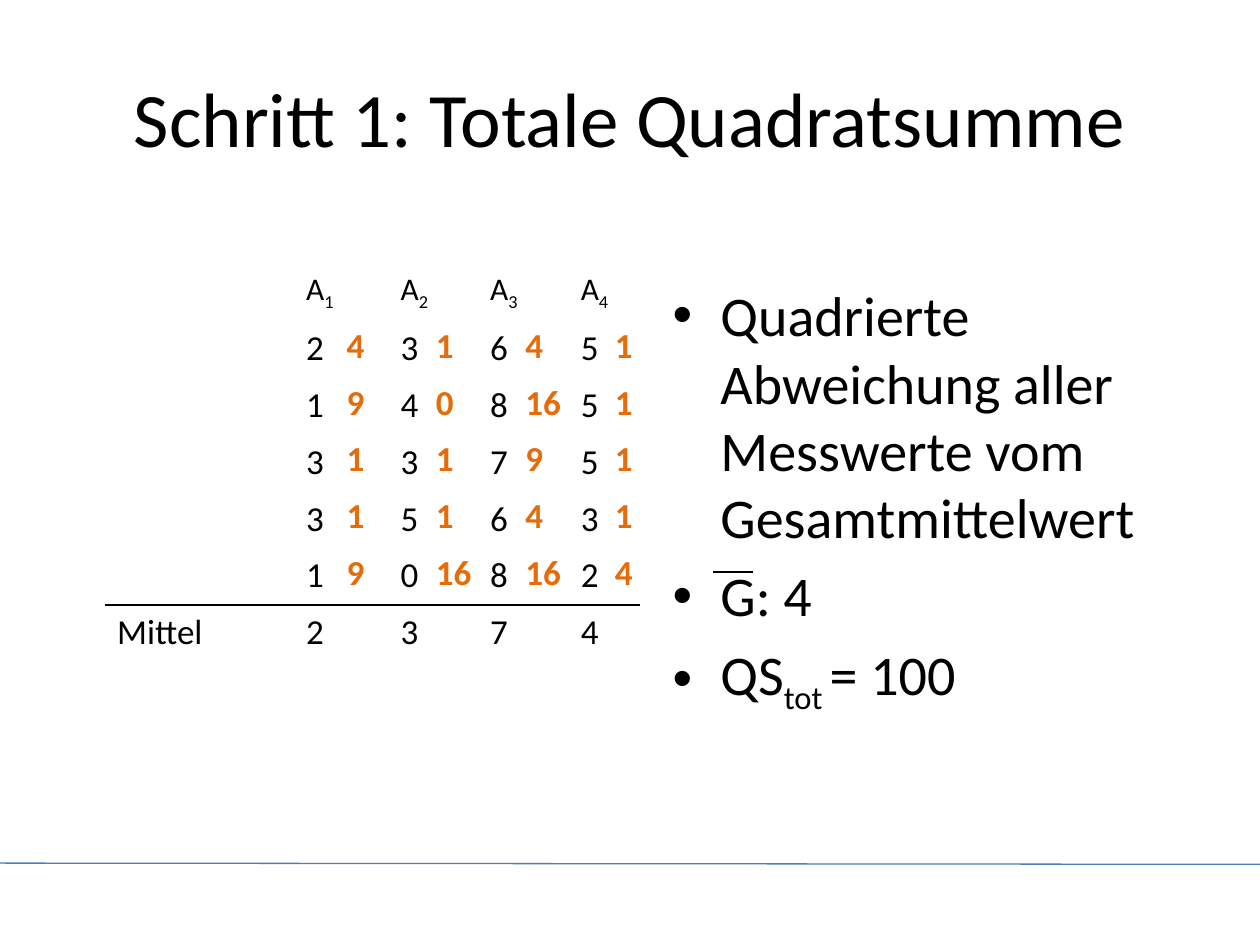
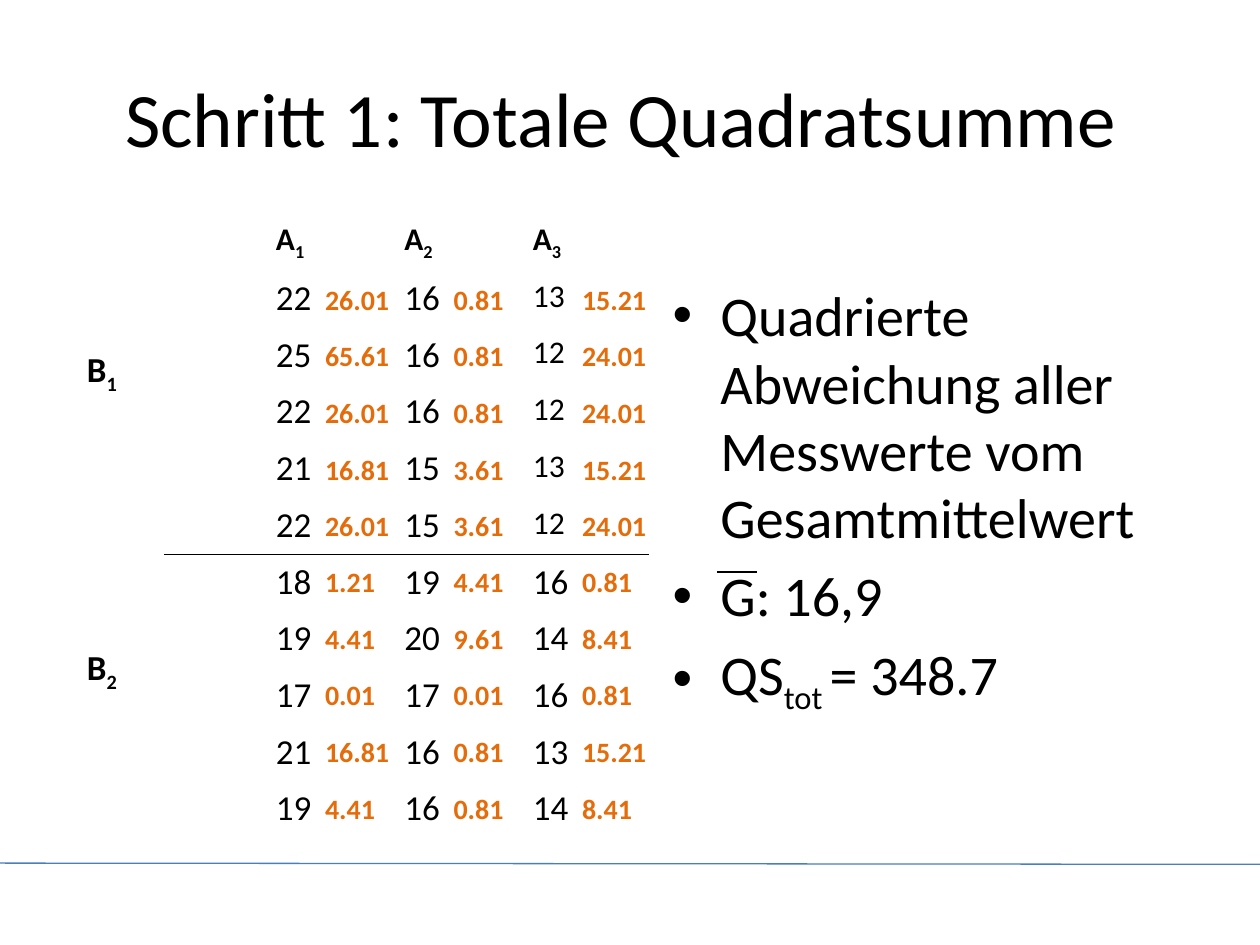
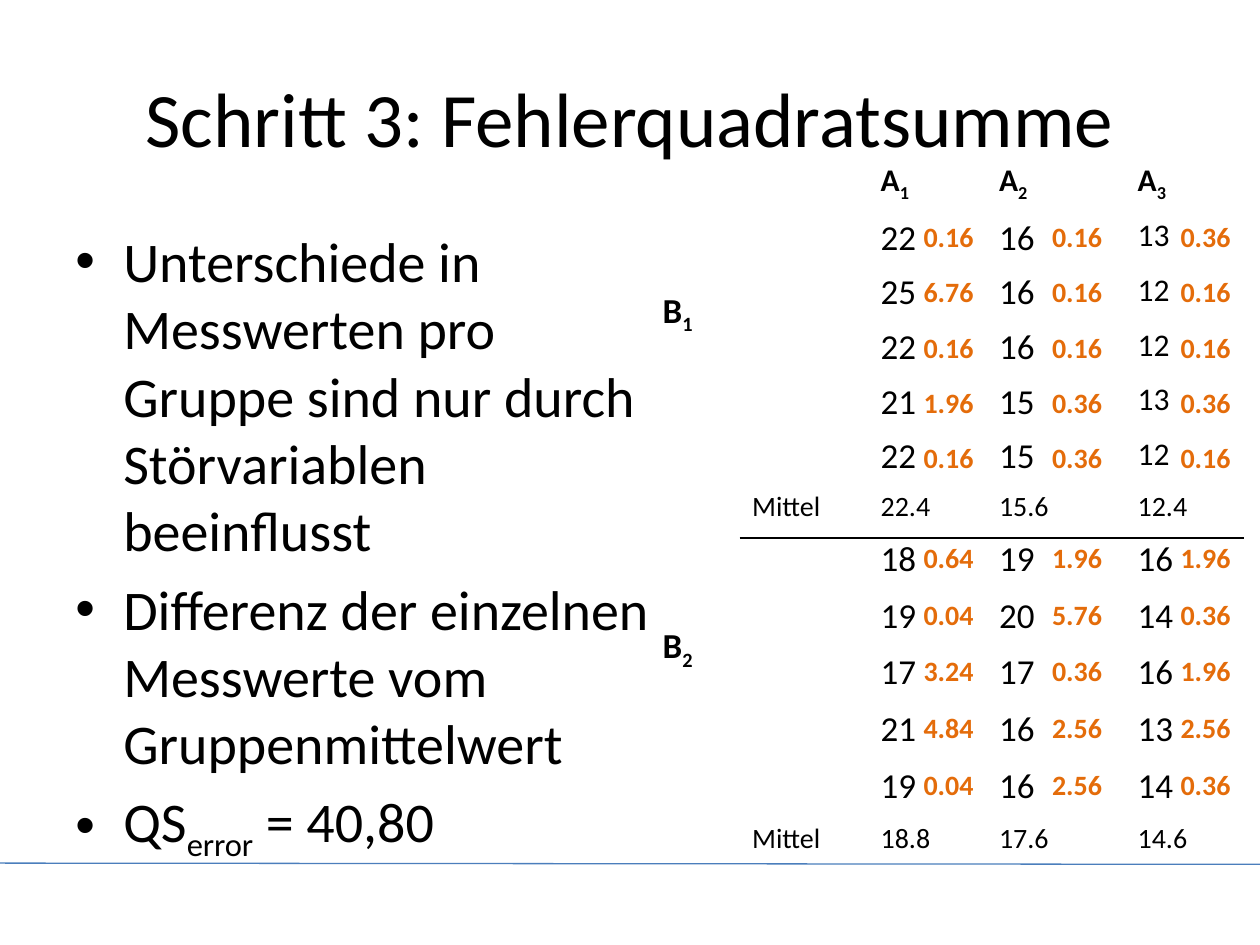
from lxml import etree
from pptx import Presentation
from pptx.dml.color import RGBColor
from pptx.enum.shapes import MSO_CONNECTOR
from pptx.enum.text import MSO_ANCHOR, PP_ALIGN
from pptx.oxml.ns import qn
from pptx.util import Inches, Pt

FONT = "Calibri"
BLACK = "000000"
ORANGE = "E46C0A"
FOOTER_BLUE = "4B7EBC"
PLAIN_TABLE_STYLE = "{2D5ABB26-0587-4C30-8999-92F81FD0307C}"

HEADINGS = "A|1 A|2 A|3"
UPPER_VALUES = ["22 16 13", "25 16 12", "22 16 12", "21 15 13", "22 15 12"]
LOWER_VALUES = ["18 19 16", "19 20 14", "17 17 16", "21 16 13", "19 16 14"]


def rgb(hex_string):
    return RGBColor.from_string(hex_string)


class Deck:
    def __init__(self):
        self.presentation = Presentation()
        self.presentation.slide_width = Inches(10)
        self.presentation.slide_height = Inches(7.5)
        self.slide = None

    def new_slide(self, title):
        self.slide = self.presentation.slides.add_slide(self.presentation.slide_layouts[6])
        self.line(0, 6.85, 10, 6.86, FOOTER_BLUE, 0.75)
        text_frame = self.text_box(0.5, 0.3, 9, 1.25)
        text_frame.vertical_anchor = MSO_ANCHOR.MIDDLE
        paragraph = text_frame.paragraphs[0]
        paragraph.alignment = PP_ALIGN.CENTER
        self.add_text(paragraph, title, 44)

    def line(self, x1, y1, x2, y2, color=BLACK, width=1):
        connector = self.slide.shapes.add_connector(
            MSO_CONNECTOR.STRAIGHT, Inches(x1), Inches(y1), Inches(x2), Inches(y2))
        connector.line.color.rgb = rgb(color)
        connector.line.width = Pt(width)
        etree.SubElement(connector._element.spPr, qn("a:effectLst"))

    def text_box(self, left, top, width, height):
        shape = self.slide.shapes.add_textbox(
            Inches(left), Inches(top), Inches(width), Inches(height))
        shape.text_frame.word_wrap = True
        return shape.text_frame

    def add_text(self, paragraph, text_with_subscripts, size, color=BLACK, bold=False):
        for index, part in enumerate(text_with_subscripts.split("|")):
            if not part:
                continue
            run = paragraph.add_run()
            run.text = part
            run.font.name = FONT
            run.font.size = Pt(size)
            run.font.bold = bold
            run.font.color.rgb = rgb(color)
            if index % 2:
                run._r.get_or_add_rPr().set("baseline", "-25000")

    def bullets(self, left, top, width, height, texts):
        text_frame = self.text_box(left, top, width, height)
        for index, text in enumerate(texts):
            paragraph = text_frame.add_paragraph() if index else text_frame.paragraphs[0]
            properties = paragraph._p.get_or_add_pPr()
            properties.set("marL", str(Inches(0.38)))
            properties.set("indent", str(Inches(-0.38)))
            etree.SubElement(properties, qn("a:buFont"), typeface="Arial")
            etree.SubElement(properties, qn("a:buChar"), char="•")
            if index:
                paragraph.space_before = Pt(6.4)
            self.add_text(paragraph, text, 32)

    def table(self, left, top, widths, row_height, lines, size=20, color=BLACK, bold=False):
        table = self.slide.shapes.add_table(
            len(lines), len(widths), Inches(left), Inches(top),
            Inches(sum(widths)), Inches(row_height * len(lines))).table
        table.first_row = table.horz_banding = False
        table._tbl.tblPr.find(qn("a:tableStyleId")).text = PLAIN_TABLE_STYLE
        for column, width in zip(table.columns, widths):
            column.width = Inches(width)
        for row, line in zip(table.rows, lines):
            row.height = Inches(row_height)
            values = line.split()
            values = [""] * (len(widths) - len(values)) + values
            for cell, value in zip(row.cells, values):
                cell.fill.background()
                self.add_text(cell.text_frame.paragraphs[0], value, size, color, bold)
        return table

    def format_cells(self, cells, size, bold=False):
        for cell in cells:
            for run in cell.text_frame.paragraphs[0].runs:
                run.font.size = Pt(size)
                run.font.bold = bold

    def rule_below(self, row):
        for cell in row.cells:
            border = etree.Element(qn("a:lnB"), w=str(Pt(1)))
            fill = etree.SubElement(border, qn("a:solidFill"))
            etree.SubElement(fill, qn("a:srgbClr"), val=BLACK)
            cell._tc.get_or_add_tcPr().insert(0, border)

    def upper_table(self, left, top, widths, row_height, lines):
        table = self.table(left, top, widths, row_height, lines)
        rows = list(table.rows)
        self.format_cells([row.cells[3] for row in rows], 18)
        self.format_cells(rows[0].cells, 18, bold=True)
        self.rule_below(rows[-1])
        return table

    def deviations(self, left, top, row_height, lines):
        self.table(left, top, [1.02] * 3, row_height, lines, 16, ORANGE, bold=True)

    def group_label(self, left, top, height, text, margin_top):
        table = self.table(left, top, [0.71], height, [text], bold=True)
        table.cell(0, 0).margin_top = Inches(margin_top)

    def group_labels(self, left, upper_top, lower_top):
        self.group_label(left, upper_top, 2.7, "B|1", 1.07)
        self.group_label(left, lower_top, 2.25, "B|2", 0.73)


def total_one_factor(deck):
    deck.new_slide("Schritt 1: Totale Quadratsumme")
    deck.bullets(5.24, 2.18, 4.26, 4.52, [
        "Quadrierte Abweichung aller Messwerte vom Gesamtmittelwert",
        "G: 4", "QS|tot |= 100"])
    values = deck.table(0.83, 2.1, [1.5, 0.75, 0.71, 0.72, 0.57], 0.45, [
        "A|1 A|2 A|3 A|4", "2 3 6 5", "1 4 8 5", "3 3 7 5", "3 5 6 3", "1 0 8 2",
        "Mittel 2 3 7 4"])
    deck.format_cells(values.rows[0].cells, 18)
    deck.rule_below(values.rows[5])
    deck.table(1.94, 2.08, [0.71] * 4 + [0.63], 0.45, [
        "", "4 1 4 1", "9 0 16 1", "1 1 9 1", "1 1 4 1", "9 16 16 4", ""],
        color=ORANGE, bold=True)
    deck.line(5.66, 4.54, 5.98, 4.54)


def total_two_factors(deck):
    deck.new_slide("Schritt 1: Totale Quadratsumme ")
    widths = [0.79] + [1.02] * 3
    deck.upper_table(1.3, 1.7, widths, 0.45, [HEADINGS] + UPPER_VALUES)
    deck.deviations(2.48, 2.2, 0.45, [
        "26.01 0.81 15.21", "65.61 0.81 24.01", "26.01 0.81 24.01",
        "16.81 3.61 15.21", "26.01 3.61 24.01"])
    deck.table(1.3, 4.4, widths, 0.45, LOWER_VALUES)
    deck.group_labels(0.59, 1.7, 4.41)
    deck.bullets(5.24, 2.18, 4.26, 4.52, [
        "Quadrierte Abweichung aller Messwerte vom Gesamtmittelwert",
        "G: 16,9", "QS|tot |= 348.7"])
    deck.deviations(2.48, 4.44, 0.45, [
        "1.21 4.41 0.81", "4.41 9.61 8.41", "0.01 0.01 0.81",
        "16.81 0.81 15.21", "4.41 0.81 8.41"])
    deck.line(5.69, 4.54, 6.01, 4.54)


def error_two_factors(deck):
    deck.new_slide("Schritt 3: Fehlerquadratsumme")
    deck.bullets(0.5, 1.75, 4.81, 4.95, [
        "Unterschiede in Messwerten pro Gruppe sind nur durch Störvariablen beeinflusst",
        "Differenz der einzelnen Messwerte vom Gruppenmittelwert",
        "QS|error| = 40,80"])
    upper = deck.upper_table(5.87, 1.23, [1.02, 0.94, 1.1, 0.94], 0.43,
                             [HEADINGS] + UPPER_VALUES + ["Mittel 22.4 15.6 12.4"])
    lower = deck.table(5.87, 4.22, [1.02, 0.94, 1.1, 0.79], 0.45,
                       LOWER_VALUES + ["Mittel 18.8 17.6 14.6"])
    deck.format_cells(upper.rows[6].cells, 16)
    deck.format_cells(lower.rows[5].cells, 16)
    deck.group_labels(5.16, 1.23, 4.23)
    deck.deviations(7.23, 1.7, 0.44, [
        "0.16 0.16 0.36", "6.76 0.16 0.16", "0.16 0.16 0.16",
        "1.96 0.36 0.36", "0.16 0.36 0.16"])
    deck.deviations(7.23, 4.25, 0.45, [
        "0.64 1.96 1.96", "0.04 5.76 0.36", "3.24 0.36 1.96",
        "4.84 2.56 2.56", "0.04 2.56 0.36"])


def main():
    deck = Deck()
    total_one_factor(deck)
    total_two_factors(deck)
    error_two_factors(deck)
    deck.presentation.save("out.pptx")


if __name__ == "__main__":
    main()
